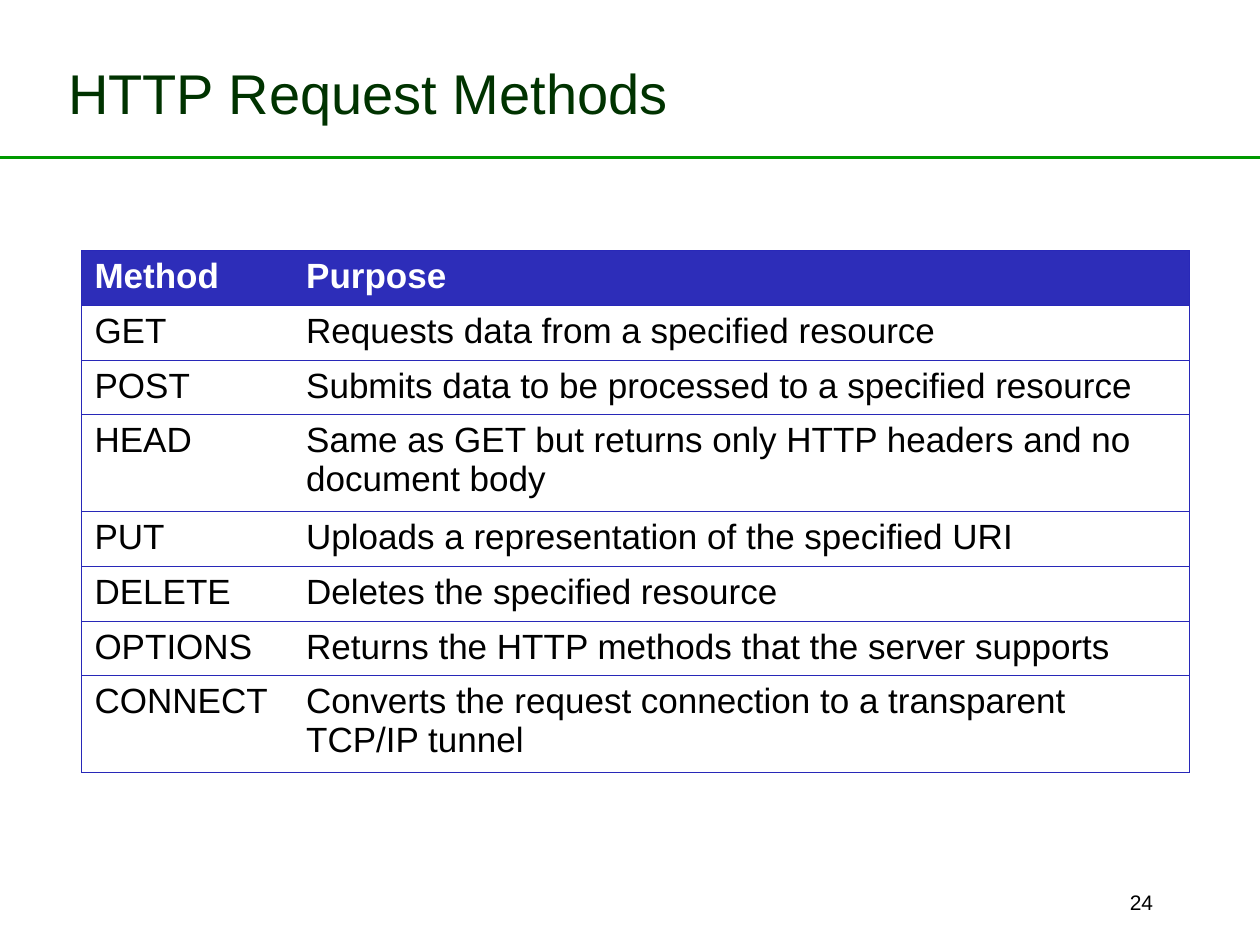
"""Build the HTTP request methods slide."""
from lxml import etree
from pptx import Presentation, util as u
from pptx.dml.color import RGBColor
from pptx.enum import shapes, text
from pptx.oxml import ns

TITLE = "HTTP Request Methods"
PAGE = "24"
METHODS = [
    ("Method", "Purpose"),
    ("GET", "Requests data from a specified resource"),
    ("POST", "Submits data to be processed to a specified resource"),
    ("HEAD", "Same as GET but returns only HTTP headers and no document body"),
    ("PUT", "Uploads a representation of the specified URI"),
    ("DELETE", "Deletes the specified resource"),
    ("OPTIONS", "Returns the HTTP methods that the server supports"),
    ("CONNECT", "Converts the request connection to a transparent TCP/IP tunnel"),
]
WIDTH, HEIGHT = 10, 7.5
COLUMNS = (1.68, 7.11)
ONE_LINE, TWO_LINES, WRAP_AT = 0.43, 0.77, 55
BORDERED = (("lnL", "lnT", "lnB"), ("lnR", "lnT", "lnB"))


def color(value):
    return RGBColor.from_string(value)


def write(frame, words, size=20, ink="000000", bold=False, align=text.PP_ALIGN.LEFT,
          anchor=text.MSO_ANCHOR.TOP):
    frame.word_wrap = True
    frame.vertical_anchor = anchor
    paragraph = frame.paragraphs[0]
    paragraph.alignment = align
    run = paragraph.add_run()
    run.text = words
    run.font.name, run.font.size, run.font.bold = "Arial", u.Pt(size), bold
    run.font.color.rgb = color(ink)


def draw_borders(cell, sides):
    properties = cell._tc.get_or_add_tcPr()
    for side in ("lnL", "lnR", "lnT", "lnB"):
        edge = etree.SubElement(properties, ns.qn(f"a:{side}"), w=str(u.Pt(0.75)))
        if side in sides:
            paint = etree.SubElement(edge, ns.qn("a:solidFill"))
            etree.SubElement(paint, ns.qn("a:srgbClr"), val="2828B8")
        else:
            etree.SubElement(edge, ns.qn("a:noFill"))


def add_methods(slide):
    heights = [TWO_LINES if len(purpose) > WRAP_AT else ONE_LINE for _, purpose in METHODS]
    box = map(u.Inches, (0.65, 1.99, sum(COLUMNS), sum(heights)))
    methods = slide.shapes.add_table(len(METHODS), len(COLUMNS), *box).table
    methods.horz_banding = False
    for column, width in zip(methods.columns, COLUMNS):
        column.width = u.Inches(width)
    for r, (entry, height) in enumerate(zip(METHODS, heights)):
        methods.rows[r].height = u.Inches(height)
        for c, words in enumerate(entry):
            cell, header = methods.cell(r, c), r == 0
            write(cell.text_frame, words, ink="FFFFFF" if header else "000000", bold=header)
            draw_borders(cell, BORDERED[c])
            if header:
                cell.fill.solid()
                cell.fill.fore_color.rgb = color("2D2DB9")
            else:
                cell.fill.background()


def main():
    deck = Presentation()
    deck.slide_width, deck.slide_height = u.Inches(WIDTH), u.Inches(HEIGHT)
    slide = deck.slides.add_slide(deck.slide_layouts[5])

    rule_y = u.Inches(HEIGHT / 6)
    rule = slide.shapes.add_connector(
        shapes.MSO_CONNECTOR.STRAIGHT, deck.slide_width, rule_y, 0, rule_y)
    rule.line.color.rgb, rule.line.width = color("009900"), u.Pt(2.25)
    etree.SubElement(rule._element.spPr, ns.qn("a:effectLst"))

    title = slide.shapes.title
    title.left, title.top, title.width, title.height = map(u.Inches, (0.44, 0.21, 8.97, 1.04))
    write(title.text_frame, TITLE, size=32, ink="003300", anchor=text.MSO_ANCHOR.MIDDLE)

    page = slide.shapes.add_textbox(*map(u.Inches, (7.17, 7.01, 2.08, 0.32)))
    write(page.text_frame, PAGE, size=12, align=text.PP_ALIGN.RIGHT)

    add_methods(slide)
    deck.save("out.pptx")


if __name__ == "__main__":
    main()
